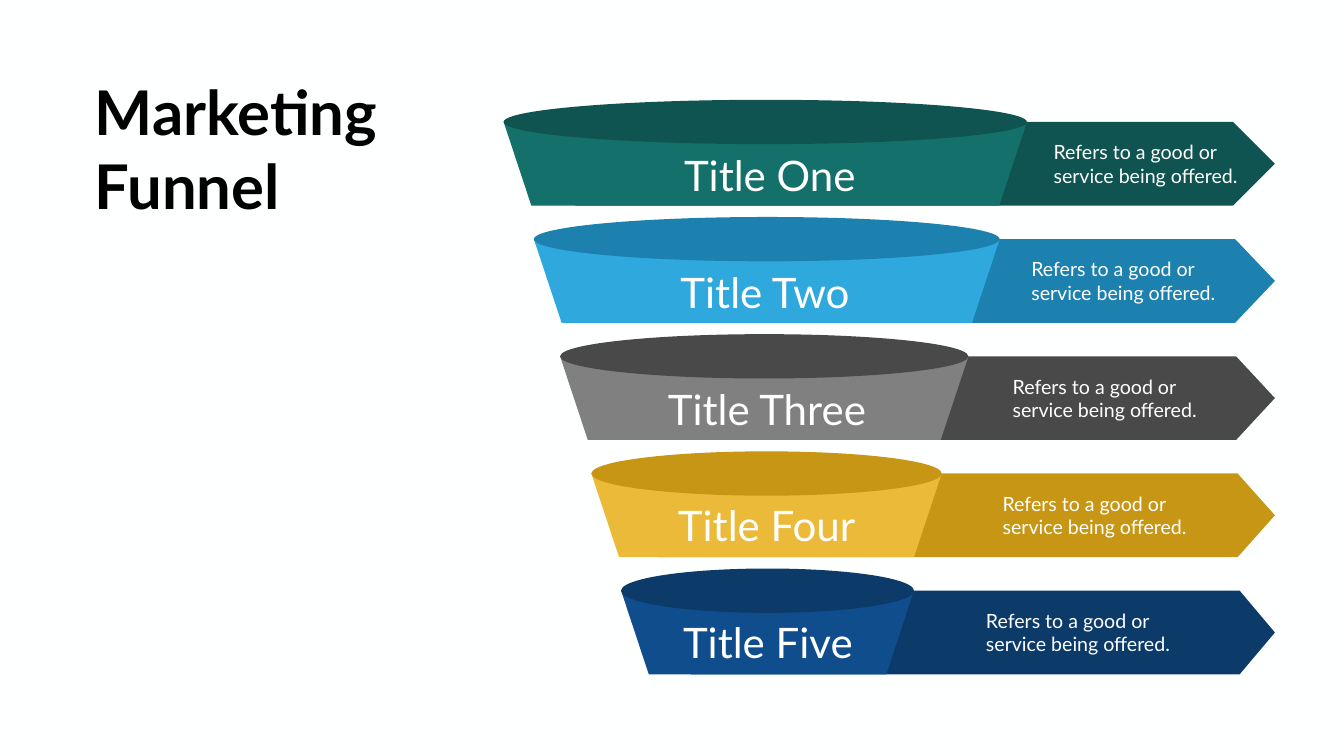
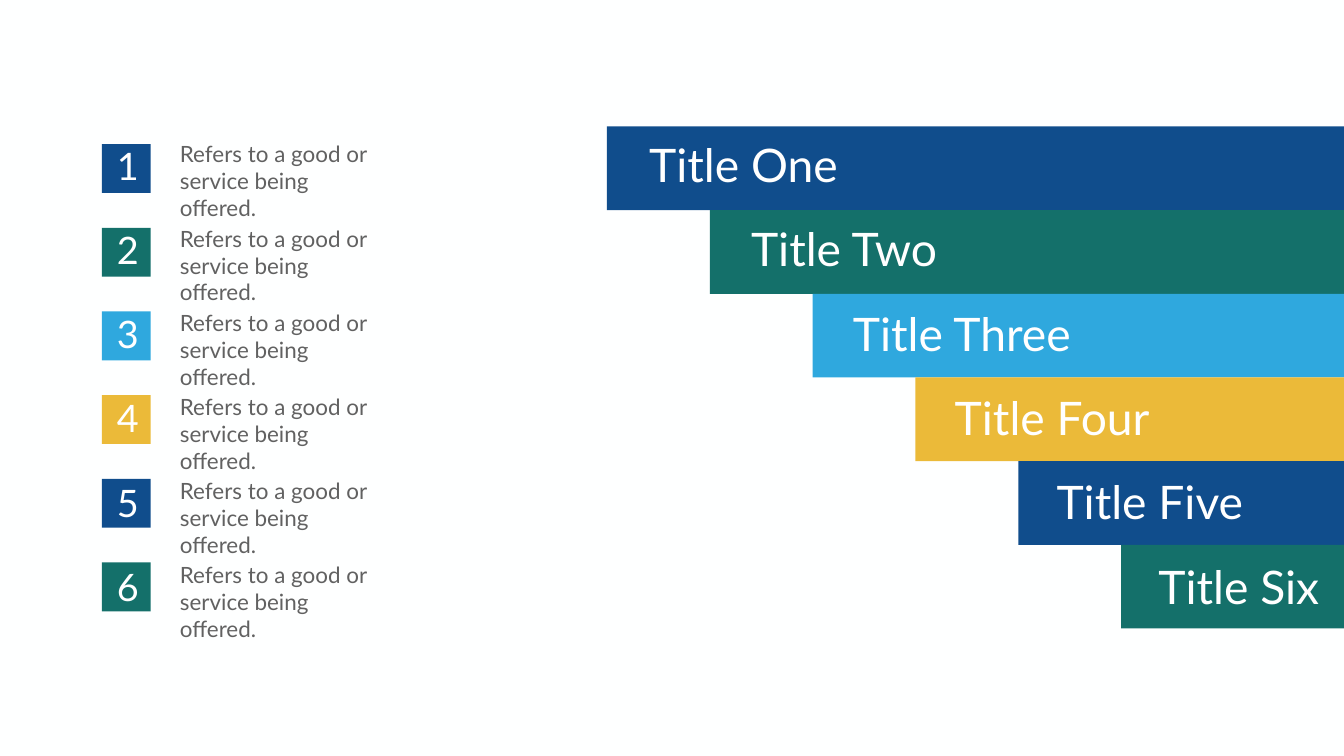
"""Build two marketing funnel slides: a tapered funnel and a stepped one."""
from pptx import Presentation
from pptx.dml.color import RGBColor
from pptx.enum.shapes import MSO_SHAPE as Preset
from pptx.enum.text import MSO_AUTO_SIZE as AutoSize
from pptx.util import Inches, Pt

GREEN, DARK_GREEN = "14706A", "0F5450"
SKY, DARK_SKY = "2FA8DE", "1C81AE"
GREY, DARK_GREY = "808080", "494949"
GOLD, DARK_GOLD = "EBBA39", "C79614"
NAVY, DARK_NAVY = "104D8C", "0C3A69"
WHITE, BLACK, TEXT_GREY, PAPER = "FFFFFF", "000000", "616161", "FEFFFF"
FONT = "Lato"
DESCRIPTION = "Refers to a good or\nservice being offered."
SLIDE_WIDTH = 26.66


def paint(part, color):
    part.fill.solid()
    part.fill.fore_color.rgb = RGBColor.from_string(color)
    if hasattr(part, "line"):
        part.line.fill.background()
        part.shadow.inherit = False


def write(slide, text, left, top, width, height, size, color=WHITE, bold=False, wrap=False):
    frame = slide.shapes.add_textbox(
        Inches(left), Inches(top), Inches(width), Inches(height)).text_frame
    frame.word_wrap = wrap
    frame.auto_size = AutoSize.SHAPE_TO_FIT_TEXT
    frame.text = text
    for paragraph in frame.paragraphs:
        for run in paragraph.runs:
            run.font.name = FONT
            run.font.size = Pt(size)
            run.font.bold = bold
            run.font.color.rgb = RGBColor.from_string(color)


deck = Presentation()
deck.slide_width, deck.slide_height = Inches(SLIDE_WIDTH), Inches(15)
funnel, steps = [deck.slides.add_slide(deck.slide_layouts[6]) for _ in range(2)]
for slide in (funnel, steps):
    paint(slide.background, PAPER)

write(funnel, "Marketing\nFunnel", 1.78, 1.42, 5.95, 3.06, 88, BLACK, bold=True)

STAGE_HEIGHT, RIM_HEIGHT, TAPER, ARROW_RIGHT = 1.66, 0.88, 0.55, 25.29
stages = [
    ("Title One", GREEN, DARK_GREEN, 9.99, 10.38, 10.59, 0.83, 13.47, 3.64, 20.8),
    ("Title Two", SKY, DARK_SKY, 10.59, 9.24, 11.27, 0.79, 13.4, 3.69, 20.36),
    ("Title Three", GREY, DARK_GREY, 11.11, 8.1, 11.73, 0.77, 13.15, 4.22, 19.99),
    ("Title Four", GOLD, DARK_GOLD, 11.73, 6.95, 12.32, 0.74, 13.35, 3.79, 19.79),
    ("Title Five", NAVY, DARK_NAVY, 12.32, 5.81, 13.01, 0.7, 13.45, 3.61, 19.46),
]
for row, (title, color, dark, rim_left, rim_width, arrow_left, tip,
          title_left, title_width, description_left) in enumerate(stages):
    top = 2.42 + 2.325 * row
    middle, bottom = top + STAGE_HEIGHT / 2, top + STAGE_HEIGHT
    rim_right = rim_left + rim_width
    arrow = [(ARROW_RIGHT - tip, bottom), (arrow_left + tip, bottom), (arrow_left, middle),
             (arrow_left + tip, top), (ARROW_RIGHT - tip, top), (ARROW_RIGHT, middle)]
    bowl = [(rim_right - TAPER, bottom), (rim_left + TAPER, bottom),
            (rim_left, top), (rim_right, top)]
    for outline, tint in ((arrow, dark), (bowl, color)):
        points = [(Inches(x), Inches(y)) for x, y in outline]
        builder = funnel.shapes.build_freeform(*points[0])
        builder.add_line_segments(points[1:], close=True)
        paint(builder.convert_to_shape(), tint)
    rim = funnel.shapes.add_shape(
        Preset.OVAL, Inches(rim_left), Inches(top - RIM_HEIGHT / 2),
        Inches(rim_width), Inches(RIM_HEIGHT))
    paint(rim, dark)
    write(funnel, title, title_left, 2.92 + 2.315 * row, title_width, 1.11, 60)
    write(funnel, DESCRIPTION, description_left, top + 0.31, 3.93, 1.04, 28)

STEP_HEIGHT, CHIP = 1.66, 0.97
levels = [("Title One", NAVY, 4), ("Title Two", GREEN, 4.05), ("Title Three", SKY, 4.63),
          ("Title Four", GOLD, 4.15), ("Title Five", NAVY, 3.96), ("Title Six", GREEN, 3.43)]
for row, (title, color, title_width) in enumerate(levels):
    bar_left = 12.04 + 2.04 * row
    drop = STEP_HEIGHT * row
    for left, top, width, height in (
            (bar_left, 2.51 + drop, SLIDE_WIDTH - bar_left, STEP_HEIGHT),
            (2.02, 2.86 + drop, CHIP, CHIP)):
        block = steps.shapes.add_shape(
            Preset.RECTANGLE, Inches(left), Inches(top), Inches(width), Inches(height))
        paint(block, color)
    write(steps, str(row + 1), 2.22, 2.78 + 1.67 * row, 0.64, 1.01, 54)
    write(steps, DESCRIPTION, 3.47, 2.74 + 1.67 * row, 4.18, 1.11, 32, TEXT_GREY, wrap=True)
    write(steps, title, 12.78 + 2.02 * row, 2.65 + 1.675 * row, title_width, 1.21, 66)

deck.save("out.pptx")
